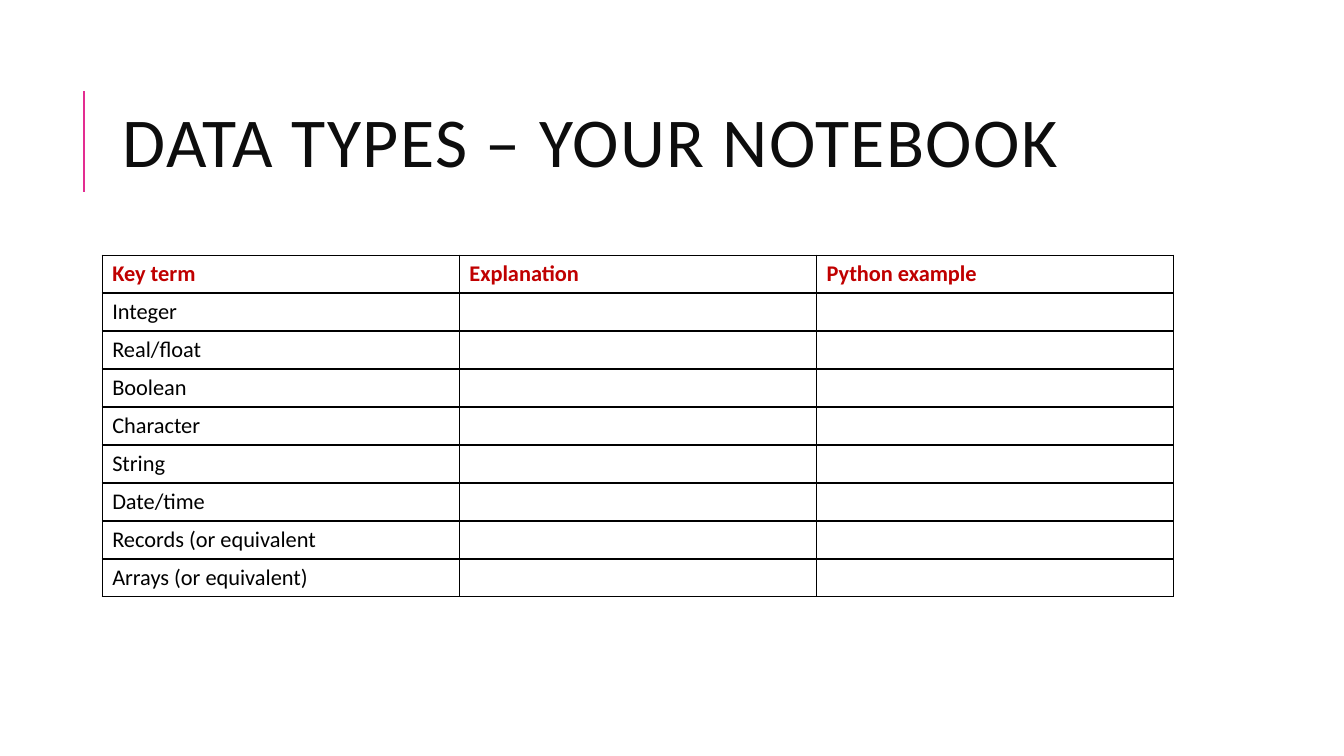
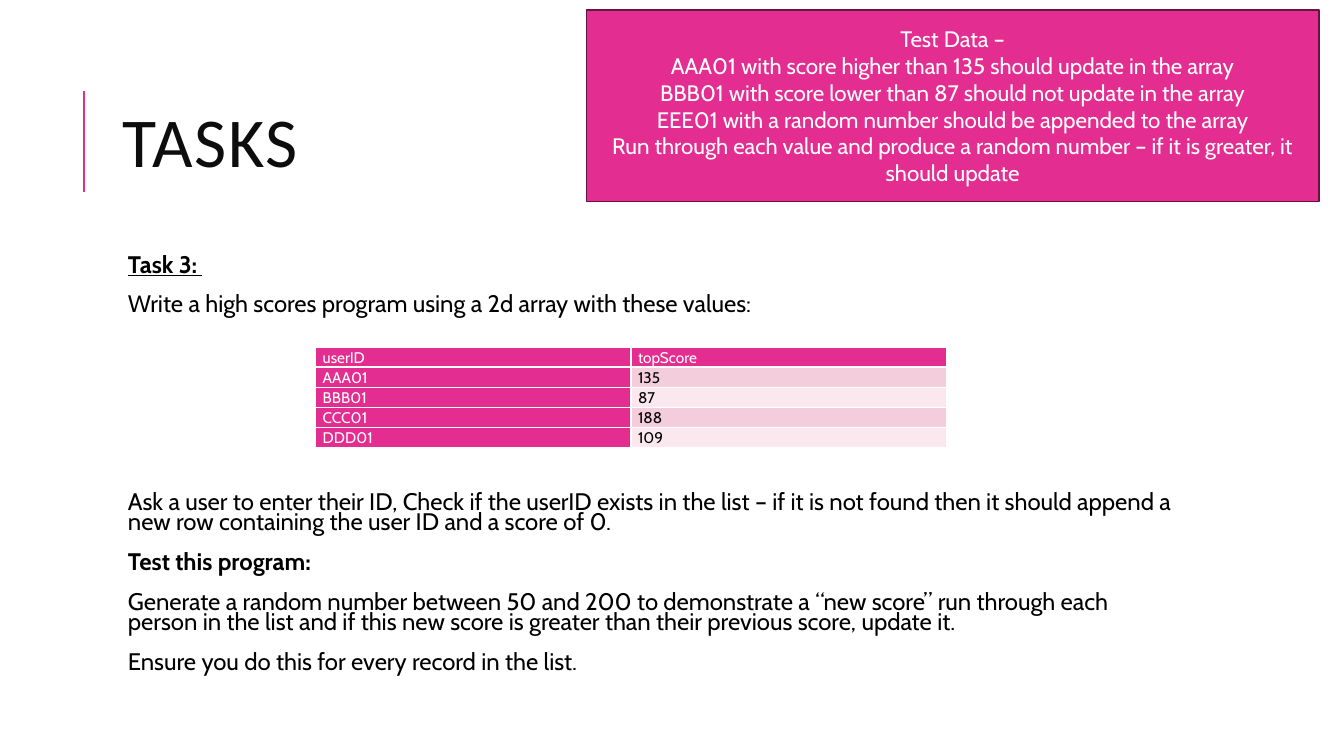
from lxml import etree
from pptx import Presentation
from pptx.dml.color import RGBColor
from pptx.enum import shapes, text
from pptx.oxml import ns
from pptx.util import Pt

COLORS = {
    "accent": "E32D91", "accent_dark": "631440", "band_a": "F4CDDC", "band_b": "FAE8EE",
    "title": "0D0D0D", "heading": "C00000", "black": "000000", "white": "FFFFFF",
}
TITLE_FONT, BODY_FONT = "Calibri", "Cabin"
TITLE_ONLY, TITLE_BODY = 5, 1  # layout indexes

# Content
KEY_TERMS = {
    "title": "DATA TYPES – YOUR NOTEBOOK",
    "header": ["Key term", "Explanation", "Python example"],
    "terms": ["Integer", "Real/float", "Boolean", "Character", "String", "Date/time",
              "Records (or equivalent", "Arrays (or equivalent)"],
}
TASKS = {
    "title": "TASKS",
    # text, format
    "body": [
        ("Task 3: ", dict(bold=True, underline=True, before=0)),
        ("Write a high scores program using a 2d array with these values:", {}),
        ("Ask a user to enter their ID, Check if the userID exists in the list – if it is "
         "not found then it should append a new row containing the user ID and a score of 0.",
         dict(before=125)),  # leaves room for the score table
        ("Test this program:", dict(bold=True)),
        ("Generate a random number between 50 and 200 to demonstrate a “new score” run "
         "through each person in the list and if this new score is greater than their "
         "previous score, update it.", {}),
        ("Ensure you do this for every record in the list.", {}),
    ],
    "scores": [("userID", "topScore"), ("AAA01", "135"), ("BBB01", "87"),
               ("CCC01", "188"), ("DDD01", "109")],
    "test_data": [
        "Test Data –",
        "AAA01 with score higher than 135 should update in the array",
        "BBB01 with score lower than 87 should not update in the array",
        "EEE01 with a random number should be appended to the array",
        "Run through each value and produce a random number – if it is greater, "
        "it should update",
    ],
}


# Helpers
def rgb(name):
    return RGBColor.from_string(COLORS[name])


def sub(parent, tag, **attrs):
    return etree.SubElement(parent, ns.qn(tag), attrs)


def place(sp, left, top, width, height):
    sp.left, sp.top, sp.width, sp.height = Pt(left), Pt(top), Pt(width), Pt(height)


def write(tf, string, size=16, font=BODY_FONT, color="black", bold=False, underline=False,
          align=text.PP_ALIGN.LEFT, spacing=None, before=None, after=None, first=True,
          plain=False, tracking=None):
    """Fill the first paragraph of a text frame, or add one more."""
    p = tf.paragraphs[0] if first else tf.add_paragraph()
    if plain:
        pPr = p._p.get_or_add_pPr()
        pPr.set("marL", "0")
        pPr.set("indent", "0")
        sub(pPr, "a:buNone")
    p.alignment = align
    if spacing:
        p.line_spacing = spacing
    if before is not None:
        p.space_before = Pt(before)
    if after is not None:
        p.space_after = Pt(after)
    if not string:
        sub(p._p, "a:endParaRPr", sz=str(size * 100))
        return
    r = p.add_run()
    r.text = string
    r.font.size, r.font.name = Pt(size), font
    r.font.bold, r.font.underline = bold, underline
    r.font.color.rgb = rgb(color)
    if tracking:
        r.font._element.set("spc", str(tracking * 100))


def add_slide(prs, layout, title):
    s = prs.slides.add_slide(prs.slide_layouts[layout])
    place(s.shapes.title, 80.6, 46, 765.4, 118)
    tf = s.shapes.title.text_frame
    tf.vertical_anchor = text.MSO_ANCHOR.MIDDLE
    tf.auto_size = text.MSO_AUTO_SIZE.NONE
    write(tf, title, size=50, font=TITLE_FONT, color="title", spacing=0.8, tracking=1)
    return s


def add_title_rule(s):
    """Draw the vertical rule beside the title."""
    rule = s.shapes.add_connector(shapes.MSO_CONNECTOR.STRAIGHT, Pt(60), Pt(137), Pt(60), Pt(65))
    rule.line.color.rgb, rule.line.width = rgb("accent"), Pt(1.5)
    sub(rule._element.spPr, "a:effectLst")


def add_grid(s, rows, box, border, cell_format, inset=None, anchor=text.MSO_ANCHOR.TOP):
    """Add a table; cell_format(row, col) gives the fill and the text format."""
    left, top, width, row_height = box
    table = s.shapes.add_table(len(rows), len(rows[0]), Pt(left), Pt(top), Pt(width),
                               Pt(row_height * len(rows))).table
    table.first_row = table.horz_banding = False
    for i, row in enumerate(rows):
        for j, string in enumerate(row):
            cell = table.cell(i, j)
            fill, fmt = cell_format(i, j)
            tcPr = cell._tc.get_or_add_tcPr()
            for side in ("a:lnL", "a:lnR", "a:lnT", "a:lnB"):
                ln = sub(tcPr, side, w=str(Pt(1)))
                sub(sub(ln, "a:solidFill"), "a:srgbClr", val=COLORS[border])
            if fill:
                cell.fill.solid()
                cell.fill.fore_color.rgb = rgb(fill)
            else:
                cell.fill.background()
            cell.vertical_anchor = anchor
            if inset:
                cell.margin_left = cell.margin_right = Pt(inset)
                cell.margin_top = cell.margin_bottom = 0
            write(cell.text_frame, string, **fmt)


# Slides
def key_terms_slide(prs):
    s = add_slide(prs, TITLE_ONLY, KEY_TERMS["title"])
    add_title_rule(s)
    rows = [KEY_TERMS["header"]] + [[term, "", ""] for term in KEY_TERMS["terms"]]

    def cell_format(i, j):
        return None, dict(font=TITLE_FONT, bold=i == 0, color="black" if i else "heading")

    add_grid(s, rows, (73, 182.2, 765.4, 27.14), "black", cell_format,
             anchor=text.MSO_ANCHOR.MIDDLE)


def tasks_slide(prs):
    s = add_slide(prs, TITLE_BODY, TASKS["title"])
    add_title_rule(s)

    # Task text
    body = s.placeholders[1]
    place(body, 80.6, 180, 765.4, 317)
    tf = body.text_frame
    tf.auto_size = text.MSO_AUTO_SIZE.NONE
    tf.vertical_anchor = text.MSO_ANCHOR.TOP
    tf.margin_left = Pt(10.8)
    tf.margin_top = tf.margin_right = tf.margin_bottom = Pt(3.6)
    for i, (string, fmt) in enumerate(TASKS["body"]):
        base = dict(size=17.1, spacing=0.7, before=12, after=2, plain=True, first=i == 0)
        write(tf, string, **{**base, **fmt})

    # Score table
    def cell_format(i, j):
        on_accent = i == 0 or j == 0
        fill = "accent" if on_accent else ("band_b", "band_a")[i % 2]
        return fill, dict(size=11, spacing=1.07, color="white" if on_accent else "black")

    add_grid(s, TASKS["scores"], (225.5, 247.8, 450.5, 14.3), "white", cell_format, inset=5)

    # Test data box
    sp = s.shapes.add_shape(shapes.MSO_SHAPE.RECTANGLE, Pt(419), Pt(7), Pt(523), Pt(137))
    sp.shadow.inherit = False
    sp.fill.solid()
    sp.fill.fore_color.rgb = rgb("accent")
    sp.line.color.rgb, sp.line.width = rgb("accent_dark"), Pt(1.25)
    tf = sp.text_frame
    tf.word_wrap = True
    tf.vertical_anchor = text.MSO_ANCHOR.MIDDLE
    for i, string in enumerate(TASKS["test_data"]):
        write(tf, string, color="white", align=text.PP_ALIGN.CENTER, first=i == 0)


def main():
    prs = Presentation()
    prs.slide_width, prs.slide_height = Pt(960), Pt(540)
    key_terms_slide(prs)
    tasks_slide(prs)
    prs.save("out.pptx")


if __name__ == "__main__":
    main()
